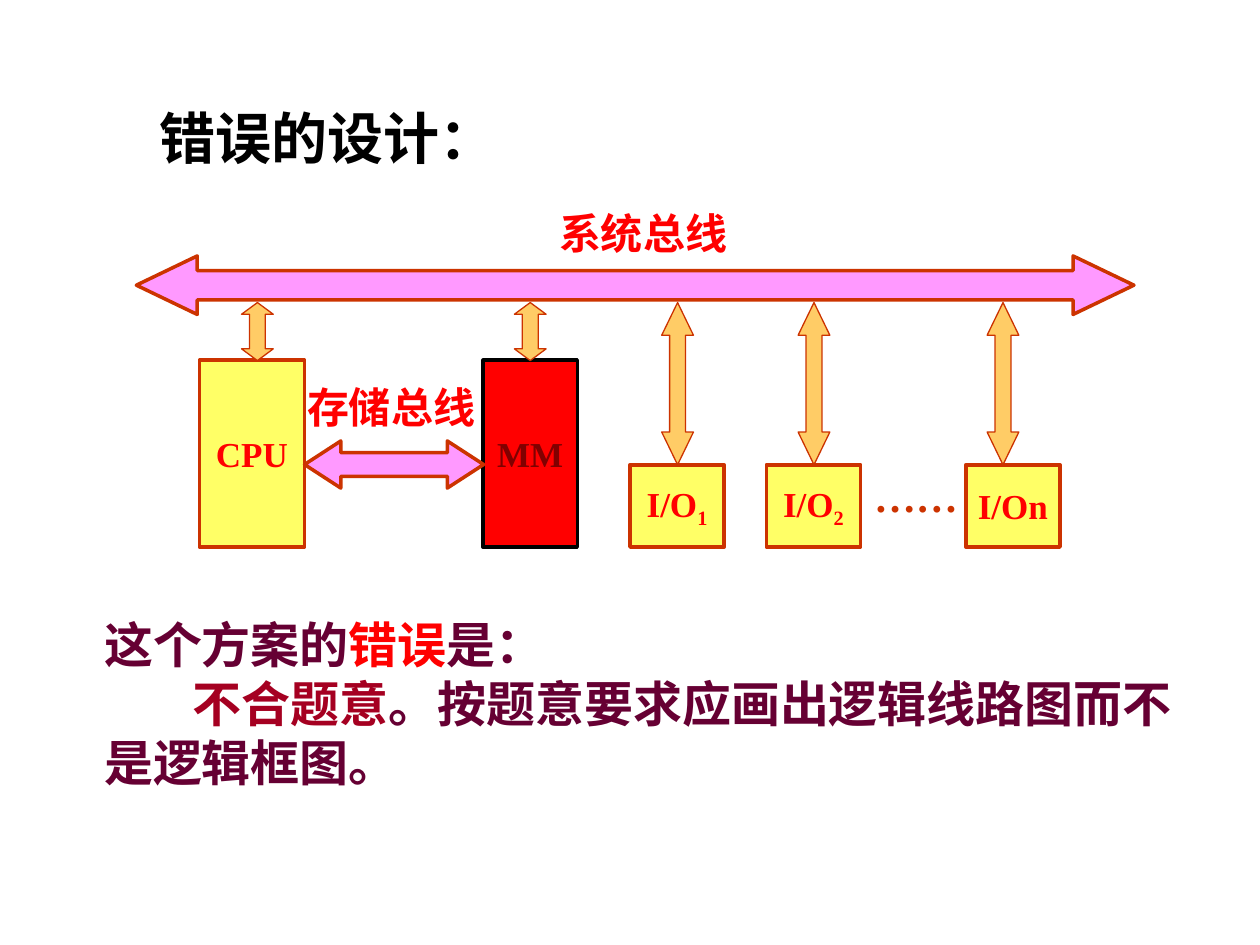
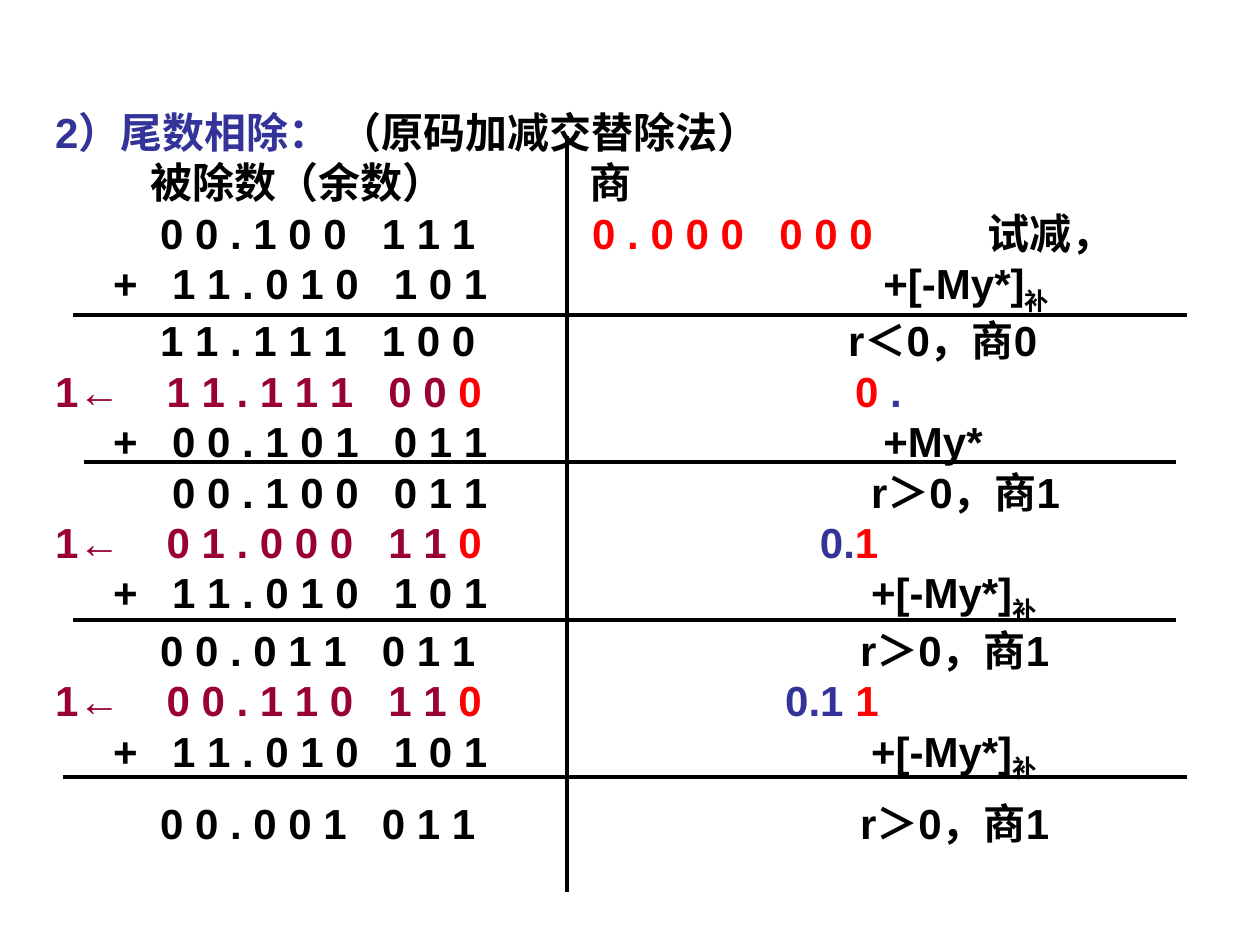
"""Build two slides: a bus design diagram and a worked binary division."""
import pptx
import pptx.util
import pptx.dml.color
import pptx.enum.shapes
import pptx.enum.text
import lxml.etree

Cm, Pt = pptx.util.Cm, pptx.util.Pt
RGBColor = pptx.dml.color.RGBColor
SHAPE = pptx.enum.shapes.MSO_SHAPE
ANCHOR = pptx.enum.text.MSO_ANCHOR
BLACK = RGBColor(0x00, 0x00, 0x00)
RED = RGBColor(0xFF, 0x00, 0x00)
RUST = RGBColor(0xCC, 0x33, 0x00)
PINK = RGBColor(0xFF, 0x99, 0xFF)
YELLOW = RGBColor(0xFF, 0xFF, 0x66)
ORANGE = RGBColor(0xFF, 0xCC, 0x66)
MAROON = RGBColor(0x80, 0x00, 0x00)
PLUM = RGBColor(0x66, 0x00, 0x33)
CRIMSON = RGBColor(0xA5, 0x00, 0x21)
BLUE = RGBColor(0x33, 0x33, 0x99)
WINE = RGBColor(0x99, 0x00, 0x33)
SERIF, SANS = "Times New Roman", "Arial"
A = "{http://schemas.openxmlformats.org/drawingml/2006/main}"


def add_run(p, text, size, color, font, base=0):
    r = p.add_run()
    r.text = text
    r.font.size = Pt(size)
    r.font.bold = True
    r.font.name = font
    r.font.color.rgb = color
    if base:
        r.font._element.set("baseline", str(base * 1000))


def add_block(s, preset, box, fill, line, width, adjustments=()):
    sp = s.shapes.add_shape(preset, *[Cm(v) for v in box])
    sp.shadow.inherit = False
    sp.fill.solid()
    sp.fill.fore_color.rgb = fill
    sp.line.color.rgb = line
    sp.line.width = Pt(width)
    for i, value in enumerate(adjustments):
        sp.adjustments[i] = value
    for i, guide in enumerate(sp._element.iter(A + "gd"), 1):
        guide.set("name", f"adj{i}")
    return sp


prs = pptx.Presentation()
prs.slide_width, prs.slide_height = Cm(25.4), Cm(19.05)
blank = prs.slide_layouts[6]

s = prs.slides.add_slide(blank)
add_block(s, SHAPE.LEFT_RIGHT_ARROW, (2.75, 5.16, 20.11, 1.18), PINK, RUST, 2, (0.5, 1.04))

units = [
    (4.02, 7.26, 2.12, 3.77, YELLOW, RUST, RED, "CPU", ""),
    (9.74, 7.26, 1.9, 3.77, RED, BLACK, MAROON, "MM", ""),
    (12.7, 9.37, 1.9, 1.66, YELLOW, RUST, RED, "I/O", "1"),
    (15.45, 9.37, 1.9, 1.66, YELLOW, RUST, RED, "I/O", "2"),
    (19.47, 9.37, 1.9, 1.66, YELLOW, RUST, RED, "I/On", ""),
]
for x, y, w, h, fill, line, color, name, index in units:
    sp = add_block(s, SHAPE.RECTANGLE, (x, y, w, h), fill, line, 2)
    tf = sp.text_frame
    tf.word_wrap = False
    tf.vertical_anchor = ANCHOR.MIDDLE
    p = tf.paragraphs[0]
    p.alignment = pptx.enum.text.PP_ALIGN.CENTER
    add_run(p, name, 20, color, SERIF)
    if index:
        add_run(p, index, 20, color, SERIF, -25)

for x, h, head in [(4.87, 1.17, 0.37), (10.37, 1.17, 0.37),
                   (13.34, 3.27, 1.03), (16.09, 3.27, 1.03), (19.9, 3.27, 1.03)]:
    add_block(s, SHAPE.UP_DOWN_ARROW, (x, 6.1, 0.64, h), ORANGE, RUST, 0.75, (0.5, head))
add_block(s, SHAPE.LEFT_RIGHT_ARROW, (6.14, 8.89, 3.61, 0.95), PINK, RUST, 2, (0.5, 0.77))

labels = [
    (2.97, 1.91, 18.21, 1.7, "错误的设计：", 32, BLACK, SANS),
    (17.37, 9.37, 2.4, 1.27, "……", 24, RUST, SERIF),
    (11.02, 4.06, 3.89, 1.27, "系统总线", 24, RED, SERIF),
    (5.94, 7.57, 3.89, 1.27, "存储总线", 24, RED, SERIF),
]
for x, y, w, h, text, size, color, font in labels:
    tf = s.shapes.add_textbox(Cm(x), Cm(y), Cm(w), Cm(h)).text_frame
    tf.word_wrap = True
    tf.vertical_anchor = ANCHOR.MIDDLE if size == 32 else ANCHOR.TOP
    add_run(tf.paragraphs[0], text, size, color, font)

tf = s.shapes.add_textbox(Cm(1.85), Cm(12.27), Cm(22.05), Cm(3.81)).text_frame
tf.word_wrap = True
p = tf.paragraphs[0]
for text, color in [("这个方案的", PLUM), ("错误", RED), ("是：", PLUM)]:
    add_run(p, text, 28, color, SERIF)
p = tf.add_paragraph()
p._p.get_or_add_pPr().set("indent", str(Cm(1.79)))
for text, color in [("不合题意", CRIMSON),
                    ("。按题意要求应画出逻辑线路图而不是逻辑框图。", PLUM)]:
    add_run(p, text, 28, color, SERIF)

s = prs.slides.add_slide(blank)
PLAIN, SHIFTED, ADDED, PLUS = 2.12, 2.25, 2.36, 1.17
GROUP = 4.47
addend = [(PLUS, "+", BLACK), (ADDED, "1 1 . 0 1 0", BLACK), (ADDED + GROUP, "1 0 1", BLACK)]
rows = [
    [(0, "2）尾数相除：", BLUE), (0, " （原码加减交替除法）", BLACK)],
    [(1.92, "被除数（余数）", BLACK), (10.77, "商", BLACK)],
    [(PLAIN, "0 0 . 1 0 0", BLACK), (PLAIN + GROUP, "1 1 1", BLACK),
     (10.83, "0 . 0 0 0", RED), (14.6, "0 0 0", RED), (18.8, "试减，", BLACK)],
    addend + [(16.7, "+[-My*]", BLACK), (0, "补", BLACK, -25)],
    [(PLAIN, "1 1 . 1 1 1", BLACK), (PLAIN + GROUP, "1 0 0", BLACK), (15.99, "r＜0，商0", BLACK)],
    [(0, "1←", WINE), (SHIFTED, "1 1 . 1 1 1", WINE), (SHIFTED + GROUP, "0 0", WINE),
     (0, " 0", RED), (16.13, "0", RED), (0, " .", BLUE)],
    [(PLUS, "+", BLACK), (ADDED, "0 0 . 1 0 1", BLACK), (ADDED + GROUP, "0 1 1", BLACK),
     (16.7, "+My*", BLACK)],
    [(ADDED, "0 0 . 1 0 0", BLACK), (ADDED + GROUP, "0 1 1", BLACK), (16.45, "r＞0，商1", BLACK)],
    [(0, "1←", WINE), (SHIFTED, "0 1 . 0 0 0", WINE), (SHIFTED + GROUP, "1 1 ", WINE),
     (0, "0", RED), (15.42, "0.", BLUE), (0, "1", RED)],
    addend + [(16.45, "+[-My*]", BLACK), (0, "补", BLACK, -25)],
    [(PLAIN, "0 0 . 0 1 1", BLACK), (PLAIN + GROUP, "0 1 1", BLACK), (16.23, "r＞0，商1", BLACK)],
    [(0, "1←", WINE), (SHIFTED, "0 0 . 1 1 0", WINE), (SHIFTED + GROUP, "1 1 ", WINE),
     (0, "0", RED), (14.72, "0.1 ", BLUE), (0, "1", RED)],
    addend + [(16.45, "+[-My*]", BLACK), (0, "补", BLACK, -25)],
    [(PLAIN, "0 0 . 0 0 1", BLACK), (PLAIN + GROUP, "0 1 1", BLACK), (16.23, "r＞0，商1", BLACK)],
]
tf = s.shapes.add_textbox(Cm(0.86), Cm(2.02), Cm(23.5), Cm(15.5)).text_frame
tf.word_wrap = True
for i, row in enumerate(rows):
    p = tf.add_paragraph() if i else tf.paragraphs[0]
    tabs = lxml.etree.SubElement(p._p.get_or_add_pPr(), A + "tabLst")
    for stop, text, color, *base in row:
        if stop:
            lxml.etree.SubElement(tabs, A + "tab", pos=str(Cm(stop)), algn="l")
            text = "\t" + text
        add_run(p, text, 24, color, SANS, *base)
p.space_before = Pt(8.5)

for x1, y1, x2, y2 in [(1.48, 6.35, 23.92, 6.35), (1.7, 9.31, 23.71, 9.31),
                       (1.48, 12.49, 23.71, 12.49), (1.27, 15.66, 23.92, 15.66),
                       (11.43, 2.75, 11.43, 17.99)]:
    c = s.shapes.add_connector(pptx.enum.shapes.MSO_CONNECTOR.STRAIGHT,
                               Cm(x1), Cm(y1), Cm(x2), Cm(y2))
    c.line.color.rgb = BLACK
    c.line.width = Pt(2.25)
    lxml.etree.SubElement(c._element.spPr, A + "effectLst")

prs.save("out.pptx")
